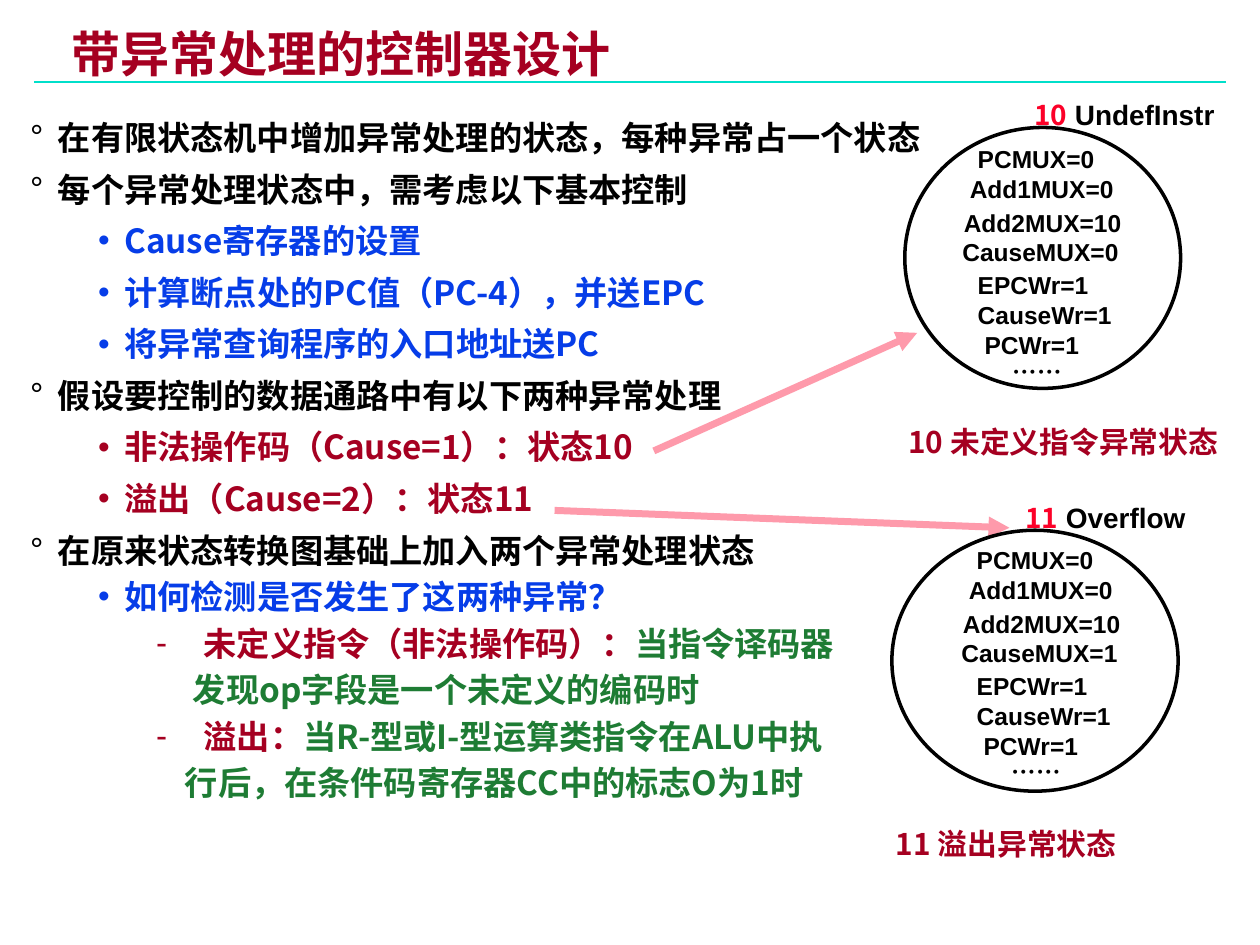
from dataclasses import dataclass
from typing import Any

from lxml.etree import SubElement
from pptx import Presentation
from pptx.dml.color import RGBColor
from pptx.enum.shapes import MSO_CONNECTOR, MSO_SHAPE
from pptx.enum.text import MSO_ANCHOR
from pptx.oxml.ns import qn
from pptx.util import Cm, Pt

BLACK = RGBColor(0x00, 0x00, 0x00)
CRIMSON = RGBColor(0xA5, 0x00, 0x21)
BLUE = RGBColor(0x06, 0x3D, 0xE8)
GREEN = RGBColor(0x1E, 0x7C, 0x34)
RED = RGBColor(0xFC, 0x01, 0x28)
PINK = RGBColor(0xFE, 0x9A, 0xAB)
TEAL = RGBColor(0x00, 0xDF, 0xCA)

# Paragraph kinds: bullet, left margin (cm), first-line indent (cm), space before (pt)
TOPIC = ("°", 0.56, -0.56, 6.65)
POINT = ("•", 1.9, -0.53, 6.65)
QUESTION = ("•", 1.9, -0.53, 3.8)
CASE = ("-", 3.5, -0.96, 3.8)
CASE_REST = (None, 3.28, 0, 3.8)
LAST_REST = (None, 3.12, 0, 3.8)

BODY = [
    (TOPIC, [("在有限状态机中增加异常处理的状态，每种异常占一个状态", BLACK)]),
    (TOPIC, [("每个异常处理状态中，需考虑以下基本控制", BLACK)]),
    (POINT, [("Cause寄存器的设置", BLUE)]),
    (POINT, [("计算断点处的PC值（PC-4），并送EPC", BLUE)]),
    (POINT, [("将异常查询程序的入口地址送PC", BLUE)]),
    (TOPIC, [("假设要控制的数据通路中有以下两种异常处理", BLACK)]),
    (POINT, [("非法操作码（Cause=1）：状态10", CRIMSON)]),
    (POINT, [("溢出（Cause=2）：状态11", CRIMSON)]),
    (TOPIC, [("在原来状态转换图基础上加入两个异常处理状态", BLACK)]),
    (QUESTION, [("如何检测是否发生了这两种异常？", BLUE)]),
    (CASE, [("未定义指令（非法操作码）：", CRIMSON), ("当指令译码器", GREEN)]),
    (CASE_REST, [("发现op字段是一个未定义的编码时", GREEN)]),
    (CASE, [("溢出：", CRIMSON), ("当R-型或I-型运算类指令在ALU中执", GREEN)]),
    (LAST_REST, [("行后，在条件码寄存器CC中的标志O为1时", GREEN)]),
]

# Control signals of a state: text, left, top, width (cm)
SIGNALS = [
    ("PCMUX=0", 19.46, 2.77, 2.87),
    ("Add1MUX=0", 19.3, 3.38, 3.43),
    ("Add2MUX=10", 19.18, 4.06, 3.71),
    ("CauseMUX={cause}", 19.15, 4.65, 3.68),
    ("EPCWr=1", 19.46, 5.31, 2.77),
    ("CauseWr=1", 19.46, 5.92, 3.23),
    ("PCWr=1", 19.6, 6.53, 2.44),
    ("……", 20.17, 7.06, 1.5),
]


@dataclass
class SlideBuilder:
    slide: Any
    latin_font: str = "Arial"
    chinese_font: str = "Noto Sans CJK SC"

    def run(self, paragraph, text, size, color, font_name):
        run = paragraph.add_run()
        run.text = text
        font = run.font
        font.name, font.size, font.bold = font_name, Pt(size), True
        font.color.rgb = color
        SubElement(run._r.get_or_add_rPr(), qn("a:ea"), typeface=self.chinese_font)

    def frame(self, left, top, width, height, wrap=True, margins=(0.25, 0.13)):
        shape = self.slide.shapes.add_textbox(Cm(left), Cm(top), Cm(width), Cm(height))
        frame = shape.text_frame
        frame.word_wrap = wrap
        frame.vertical_anchor = MSO_ANCHOR.TOP
        frame.margin_left = frame.margin_right = Cm(margins[0])
        frame.margin_top = frame.margin_bottom = Cm(margins[1])
        return frame

    def label(self, box, runs, size, **options):
        """Add one line of text; runs are (text, color, font name)."""
        paragraph = self.frame(*box, **options).paragraphs[0]
        for text, color, font_name in runs:
            self.run(paragraph, text, size, color, font_name)
        return paragraph

    def outline(self, box, items, size):
        frame = self.frame(*box, margins=(0.18, 0.08))
        for index, ((bullet, margin, indent, before), runs) in enumerate(items):
            paragraph = frame.paragraphs[0] if index == 0 else frame.add_paragraph()
            paragraph.line_spacing = Pt(22.8)
            if index:
                paragraph.space_before = Pt(before)
            properties = paragraph._p.get_or_add_pPr()
            properties.set("marL", str(Cm(margin)))
            properties.set("indent", str(Cm(indent)))
            if bullet:
                SubElement(properties, qn("a:buFont"), typeface=self.latin_font)
                SubElement(properties, qn("a:buChar"), char=bullet)
            else:
                SubElement(properties, qn("a:buNone"))
            for text, color in runs:
                self.run(paragraph, text, size, color, self.chinese_font)

    def line(self, start, end, color, width, arrow=False):
        connector = self.slide.shapes.add_connector(
            MSO_CONNECTOR.STRAIGHT, *(Cm(value) for value in (*start, *end)))
        connector.line.color.rgb = color
        connector.line.width = Pt(width)
        if arrow:
            SubElement(connector.line._get_or_add_ln(), qn("a:tailEnd"), type="triangle")
        SubElement(connector._element.spPr, qn("a:effectLst"))

    def ellipse(self, left, top, width, height):
        shape = self.slide.shapes.add_shape(
            MSO_SHAPE.OVAL, Cm(left), Cm(top), Cm(width), Cm(height))
        shape.shadow.inherit = False
        shape.fill.background()
        shape.line.color.rgb = BLACK
        shape.line.width = Pt(2)

    def state(self, number, name, caption, cause, ellipse, heading, caption_box, shift):
        """Draw a state with its heading, control signals and caption."""
        self.ellipse(*ellipse)
        self.label(heading, [(number, RED, self.chinese_font),
                             (f" {name}", BLACK, self.latin_font)], 16)
        for text, left, top, width in SIGNALS:
            font_name = self.chinese_font if text == "……" else self.latin_font
            box = (left + shift[0], top + shift[1], width, 0.84)
            self.label(box, [(text.format(cause=cause), BLACK, font_name)], 14, wrap=False)
        self.label(caption_box, [(f"{number} {caption}", CRIMSON, self.chinese_font)], 17)


def main():
    presentation = Presentation()
    presentation.slide_width, presentation.slide_height = Cm(25.4), Cm(19.05)
    builder = SlideBuilder(presentation.slides.add_slide(presentation.slide_layouts[6]))

    builder.line((0.69, 1.65), (24.71, 1.65), TEAL, 1.5)
    title = builder.label((1.27, 0.56, 20.75, 1.17),
                          [("带异常处理的控制器设计", CRIMSON, builder.latin_font)],
                          28, margins=(0.18, 0.08))
    title.line_spacing = 0.87
    builder.outline((0.43, 2.29, 21.13, 14.6), BODY, 19)

    builder.state("10", "UndefInstr", "未定义指令异常状态", 0,
                  ellipse=(18.24, 2.57, 5.56, 5.26), heading=(20.6, 1.83, 4.37, 0.94),
                  caption_box=(18.06, 8.41, 6.91, 0.97), shift=(0, 0))
    builder.line((13.18, 9.09), (18.49, 6.71), PINK, 4, arrow=True)
    builder.line((11.18, 10.29), (20.35, 10.64), PINK, 4, arrow=True)
    builder.state("11", "Overflow", "溢出异常状态", 1,
                  ellipse=(17.98, 10.69, 5.77, 5.26), heading=(20.42, 9.96, 4.55, 0.94),
                  caption_box=(17.81, 16.51, 6.38, 0.97), shift=(-0.02, 8.08))

    presentation.save("out.pptx")


if __name__ == "__main__":
    main()
